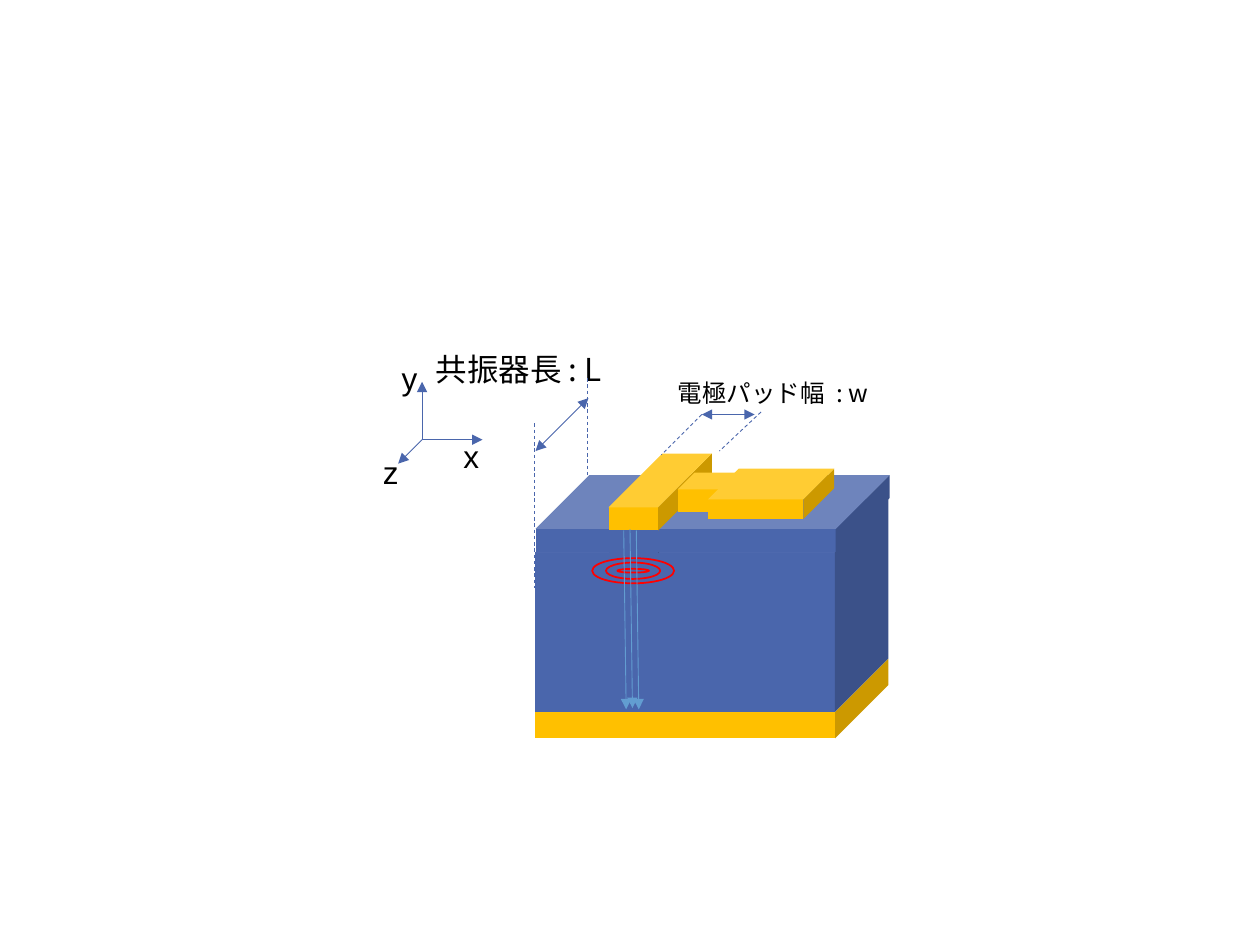
from dataclasses import dataclass

from lxml.etree import SubElement
from pptx import Presentation
from pptx.dml.color import RGBColor
from pptx.enum.dml import MSO_LINE
from pptx.enum.shapes import MSO_CONNECTOR, MSO_SHAPE
from pptx.enum.text import MSO_AUTO_SIZE
from pptx.oxml.ns import qn
from pptx.slide import Slide
from pptx.util import Inches, Pt

COLORS = {
    "blue": "4A66AC",
    "light_blue": "629DD1",
    "gold": "FFC000",
    "red": "FF0000",
    "black": "000000",
}
LATIN_FONT = "Arial"
JAPANESE_FONT = "Noto Sans CJK JP"


@dataclass(frozen=True)
class Cube:
    left: float
    top: float
    width: float
    height: float
    depth: float
    color: str


@dataclass(frozen=True)
class Line:
    start: tuple[float, float]
    end: tuple[float, float]
    color: str = "blue"
    dashed: bool = False
    head: bool = False
    tail: bool = False


@dataclass(frozen=True)
class Label:
    text: str
    left: float
    top: float
    width: float = 0.4
    height: float = 0.4
    size: int = 18
    font: str = LATIN_FONT


AXIS_ORIGIN = (3.35, 3.49)
AXES = [
    Line(AXIS_ORIGIN, (3.35, 3.03), tail=True),
    Line(AXIS_ORIGIN, (3.16, 3.68), tail=True),
    Line(AXIS_ORIGIN, (3.83, 3.49), tail=True),
]
LABELS = [
    Label("x", 3.58, 3.42),
    Label("y", 3.09, 2.8),
    Label("z", 2.94, 3.55),
    Label("電極パッド幅  : w", 5.28, 2.95, 1.91, 0.34, 14, JAPANESE_FONT),
    Label("共振器長 : L", 3.36, 2.73, 2.05, font=JAPANESE_FONT),
]
LENGTH_GUIDE_BEHIND_CHIP = Line((4.66, 3), (4.66, 4.32), dashed=True)
CUBES = [
    Cube(4.25, 5.23, 2.8, 0.63, 0.67, "gold"),    # bottom electrode
    Cube(4.25, 3.96, 2.8, 1.69, 0.25, "blue"),    # substrate
    Cube(4.83, 3.78, 0.82, 0.61, 0.7, "blue"),    # ridge
    Cube(4.25, 3.77, 2.81, 0.61, 0.7, "blue"),    # top layer
    Cube(4.83, 3.6, 0.82, 0.61, 0.7, "gold"),     # stripe electrode
    Cube(5.38, 3.75, 0.48, 0.31, 0.43, "gold"),   # bridge to the pad
    Cube(5.62, 3.72, 1, 0.4, 0.61, "gold"),       # electrode pad
]
MODE_CENTER = (5.025, 4.53)
MODE_SIZES = [(0.43, 0.13), (0.25, 0.03), (0.65, 0.2)]
CURRENT_ARROWS = [
    Line((x, y), (x + 0.02, y + 1.42), "light_blue", tail=True)
    for x, y in [(5.05, 4.21), (4.95, 4.21), (5, 4.2)]
]
DIMENSIONS = [
    Line((4.25, 3.58), (4.67, 3.16), head=True, tail=True),
    Line((4.24, 3.36), (4.24, 4.67), dashed=True),
    Line((5.57, 3.29), (5.99, 3.29), head=True, tail=True),
    Line((5.57, 3.29), (5.25, 3.61), dashed=True),
    Line((6.04, 3.27), (5.71, 3.58), dashed=True),
]


def rgb(name: str) -> RGBColor:
    return RGBColor.from_string(COLORS[name])


def add_line(slide: Slide, line: Line) -> None:
    connector = slide.shapes.add_connector(
        MSO_CONNECTOR.STRAIGHT, *map(Inches, line.start + line.end)
    )
    connector.line.color.rgb = rgb(line.color)
    connector.line.width = Pt(0.5)
    if line.dashed:
        connector.line.dash_style = MSO_LINE.DASH
    properties = connector.line._get_or_add_ln()
    for tag, wanted in (("a:headEnd", line.head), ("a:tailEnd", line.tail)):
        if wanted:
            SubElement(properties, qn(tag), type="triangle")
    SubElement(connector._element.spPr, qn("a:effectLst"))


def add_cube(slide: Slide, cube: Cube) -> None:
    shape = slide.shapes.add_shape(
        MSO_SHAPE.CUBE,
        *map(Inches, (cube.left, cube.top, cube.width, cube.height)),
    )
    shape.adjustments[0] = cube.depth
    shape.shadow.inherit = False
    shape.fill.solid()
    shape.fill.fore_color.rgb = rgb(cube.color)
    shape.line.fill.background()


def add_mode_ring(slide: Slide, width: float, height: float) -> None:
    """Draw one contour of the optical mode around its centre."""
    left, top = MODE_CENTER[0] - width / 2, MODE_CENTER[1] - height / 2
    shape = slide.shapes.add_shape(
        MSO_SHAPE.OVAL, *map(Inches, (left, top, width, height))
    )
    shape.shadow.inherit = False
    shape.fill.background()
    shape.line.color.rgb = rgb("red")
    shape.line.width = Pt(1)


def add_text(
    slide: Slide, text: str, *, left: float, top: float, width: float,
    height: float, size: int, font: str, color: str = "black",
) -> None:
    box = slide.shapes.add_textbox(*map(Inches, (left, top, width, height)))
    frame = box.text_frame
    frame.word_wrap = True
    frame.auto_size = MSO_AUTO_SIZE.SHAPE_TO_FIT_TEXT
    run = frame.paragraphs[0].add_run()
    run.text = text
    run.font.size = Pt(size)
    run.font.name = font
    run.font.color.rgb = rgb(color)
    SubElement(run.font._element, qn("a:ea"), typeface=font)


def main() -> None:
    presentation = Presentation()
    presentation.slide_width = Inches(10)
    presentation.slide_height = Inches(7.5)
    slide = presentation.slides.add_slide(presentation.slide_layouts[6])

    for line in AXES:
        add_line(slide, line)
    for label in LABELS:
        add_text(
            slide, label.text, left=label.left, top=label.top,
            width=label.width, height=label.height,
            size=label.size, font=label.font,
        )
    add_line(slide, LENGTH_GUIDE_BEHIND_CHIP)
    for cube in CUBES:
        add_cube(slide, cube)
    for width, height in MODE_SIZES:
        add_mode_ring(slide, width, height)
    for line in CURRENT_ARROWS + DIMENSIONS:
        add_line(slide, line)

    presentation.save("out.pptx")


if __name__ == "__main__":
    main()
